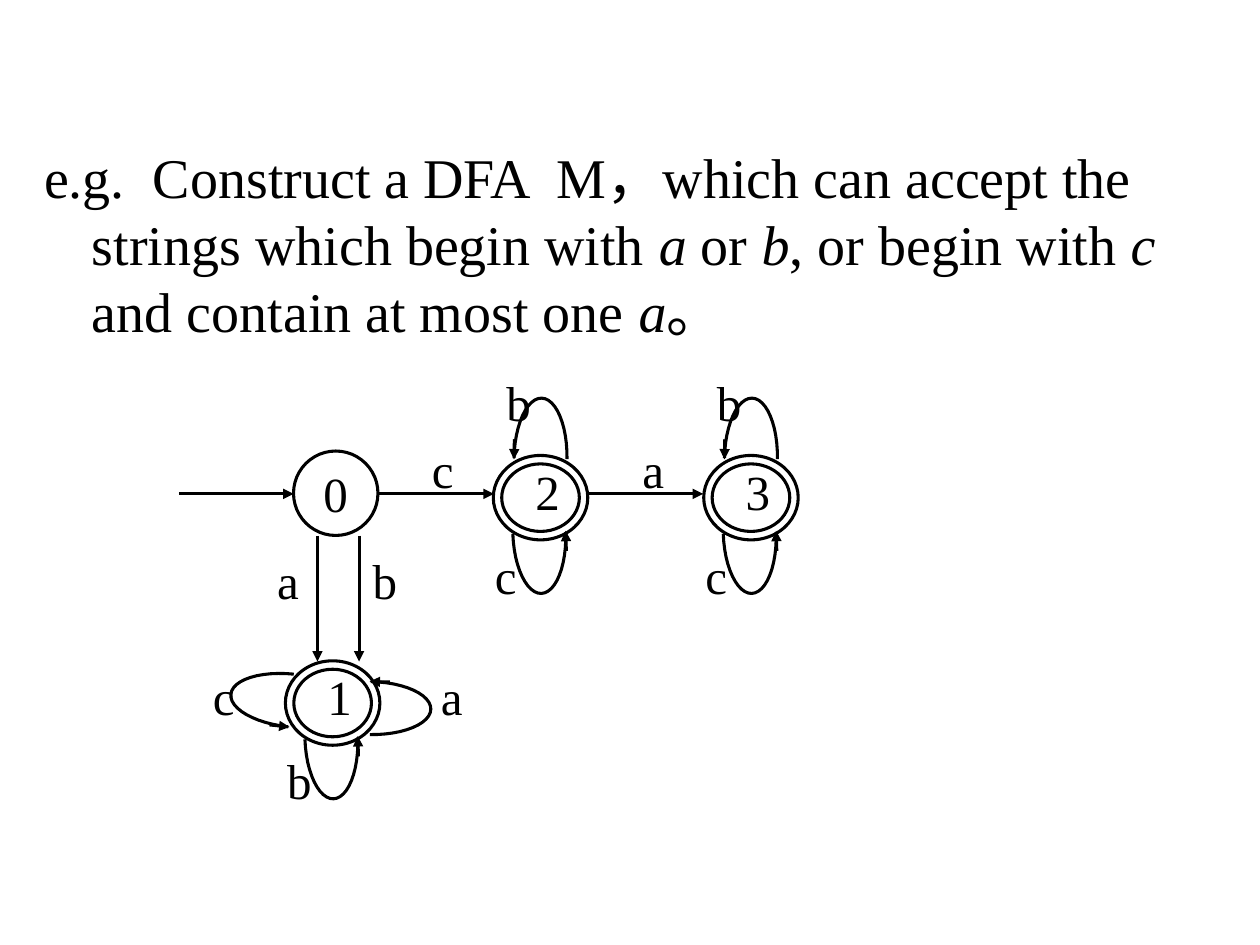
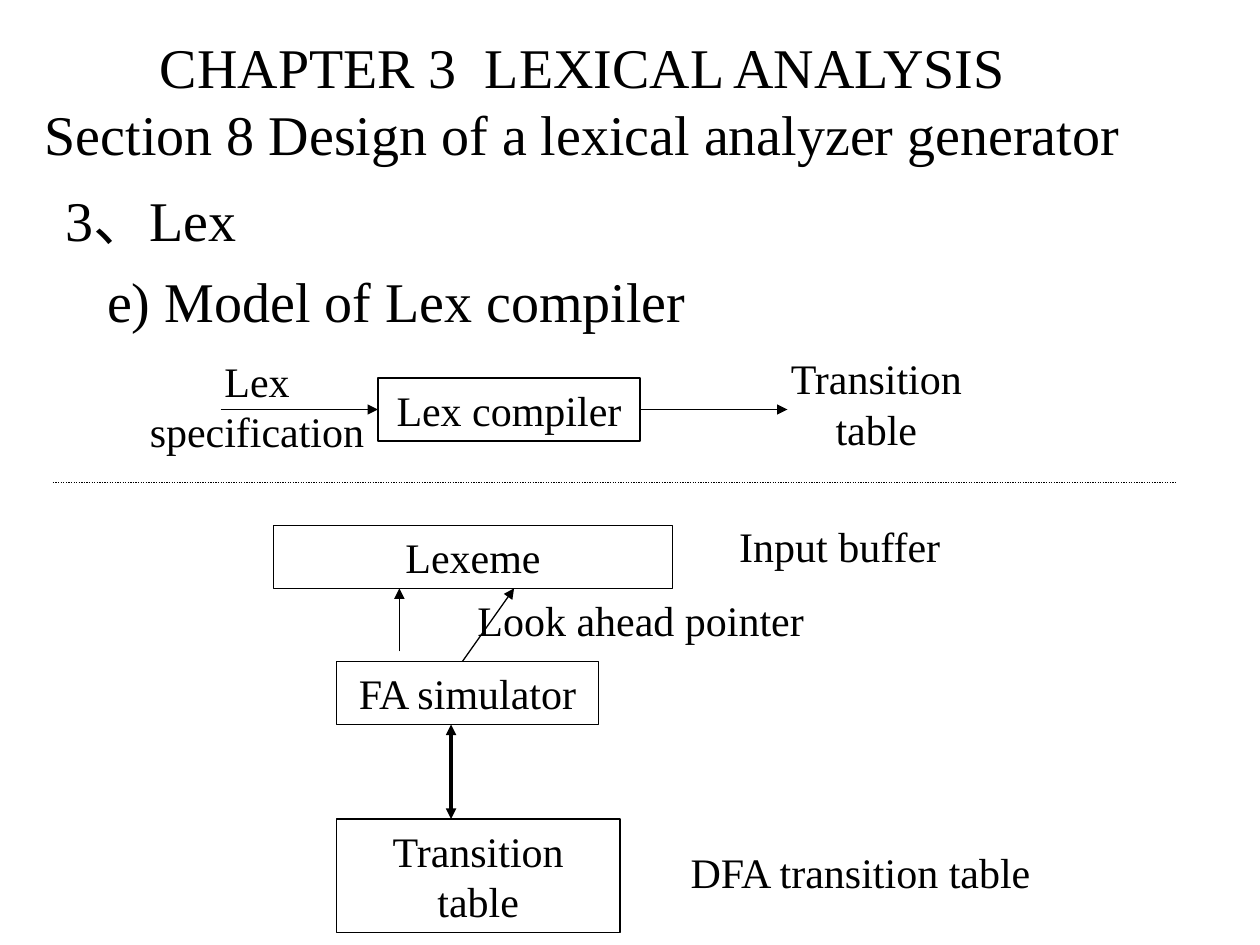
"""Builds two lexical-analysis slides: a DFA example and the Lex compiler model."""
from math import cos, radians, sin
from typing import NamedTuple

from lxml.etree import SubElement
from pptx import Presentation
from pptx.dml.color import RGBColor
from pptx.enum.dml import MSO_LINE
from pptx.enum.shapes import MSO_CONNECTOR, MSO_SHAPE as Preset
from pptx.enum.text import MSO_ANCHOR as Anchor, MSO_AUTO_SIZE as AutoSize, PP_ALIGN as Align
from pptx.oxml.ns import qn
from pptx.util import Inches, Pt

COLORS = {"ink": "000000"}
FONT = "Times New Roman"
HEADING_PT, DFA_PT, MODEL_PT = 32, 28, 24
DFA_LINE, MODEL_LINE, LINK_LINE = 1.75, 0.75, 2
STATE_W, STATE_H = 0.75, 0.67
LOOP_DEPTH, LOOP_HALF, LOOP_STEPS = 0.48, 0.21, 24
LABEL_W, LABEL_H = 0.39, 0.57
HANGING = 0.38


class Side(NamedTuple):
    angle: float
    mouth: tuple[float, float]
    label: tuple[float, float]


class State(NamedTuple):
    name: str
    x: float
    y: float
    loops: dict[str, str]


class Arrow(NamedTuple):
    start: tuple[float, float]
    end: tuple[float, float]
    weight: float
    ends: tuple[str, ...] = ("tailEnd",)


class Label(NamedTuple):
    text: str
    x: float
    y: float


class Block(NamedTuple):
    text: str
    x: float
    y: float
    width: float
    height: float = 0.5
    framed: bool = False


SIDES = {
    "top": Side(271, (0, -0.31), (-0.37, -1.04)),
    "bottom": Side(88, (-0.01, 0.28), (-0.46, 0.33)),
    "left": Side(186, (-0.33, -0.02), (-1.05, -0.34)),
    "right": Side(1, (0.3, 0.04), (0.76, -0.34)),
}
STATES = [
    State("1", 2.64, 5.58, {"bottom": "b", "right": "a", "left": "c"}),
    State("2", 4.29, 3.95, {"top": "b", "bottom": "c"}),
    State("3", 5.96, 3.95, {"top": "b", "bottom": "c"}),
]
TRANSITIONS = [
    Arrow((1.42, 3.92), (2.33, 3.92), DFA_LINE),
    Arrow((3, 3.92), (3.92, 3.92), DFA_LINE),
    Arrow((4.67, 3.92), (5.58, 3.92), DFA_LINE),
    Arrow((2.52, 4.25), (2.52, 5.25), DFA_LINE),
    Arrow((2.85, 4.25), (2.85, 5.25), DFA_LINE),
]
INPUTS = [Label("c", 3.33, 3.44), Label("a", 5, 3.44),
          Label("a", 2.1, 4.32), Label("b", 2.86, 4.32)]
BLOCKS = [
    Block("Lex specification", 1, 2.77, 2.08, 0.9),
    Block("Lex compiler", 3, 3, 2.08, framed=True),
    Block("Transition table", 6.08, 2.75, 1.75, 0.9),
    Block("Lexeme", 2.17, 4.17, 3.17, framed=True),
    Block("Input buffer", 5.58, 4.08, 2.17),
    Block("FA simulator", 2.67, 5.25, 2.08, framed=True),
    Block("Transition table", 2.67, 6.5, 2.25, 0.9, framed=True),
    Block("DFA transition table", 5.33, 6.67, 3),
    Block("Look ahead pointer", 3.42, 4.67, 3.33),
]
FLOWS = [
    Arrow((1.75, 3.25), (3, 3.25), MODEL_LINE),
    Arrow((5.08, 3.25), (6.25, 3.25), MODEL_LINE),
    Arrow((3.58, 5.75), (3.58, 6.5), LINK_LINE, ("headEnd", "tailEnd")),
    Arrow((3.17, 5.17), (3.17, 4.67), MODEL_LINE),
    Arrow((3.67, 5.25), (4.08, 4.67), MODEL_LINE),
]
DIVIDER = Arrow((0.42, 3.83), (9.33, 3.83), MODEL_LINE, ())


def ink() -> RGBColor:
    return RGBColor.from_string(COLORS["ink"])


def place(shape, x: float, y: float, width: float, height: float) -> None:
    shape.left, shape.top = Inches(x), Inches(y)
    shape.width, shape.height = Inches(width), Inches(height)


def style_text(frame, size: float, align: Align) -> None:
    for paragraph in frame.paragraphs:
        paragraph.alignment = align
        for run in paragraph.runs:
            run.font.name, run.font.size = FONT, Pt(size)
            run.font.color.rgb = ink()


def style_outline(shape, weight: float) -> None:
    shape.shadow.inherit = False
    shape.fill.background()
    shape.line.color.rgb = ink()
    shape.line.width = Pt(weight)


def style_list_item(paragraph, left: float, indent: float) -> None:
    paragraph.space_before = Pt(8)
    properties = paragraph._p.get_or_add_pPr()
    properties.set("marL", str(Inches(left)))
    properties.set("indent", str(Inches(indent)))
    SubElement(properties, qn("a:buNone"))


def draw_arrow(slide, arrow: Arrow):
    points = [Inches(value) for value in (*arrow.start, *arrow.end)]
    connector = slide.shapes.add_connector(MSO_CONNECTOR.STRAIGHT, *points)
    connector.line.color.rgb = ink()
    connector.line.width = Pt(arrow.weight)
    properties = connector.element.spPr
    for end in arrow.ends:
        SubElement(properties.find(qn("a:ln")), qn(f"a:{end}"), type="triangle")
    SubElement(properties, qn("a:effectLst"))
    return connector


def draw_label(slide, label: Label) -> None:
    box = slide.shapes.add_textbox(Inches(label.x), Inches(label.y), Inches(LABEL_W), Inches(LABEL_H))
    box.text_frame.text = label.text
    box.text_frame.word_wrap = False
    style_text(box.text_frame, DFA_PT, Align.LEFT)


def draw_loop(slide, state: State, side: Side, symbol: str) -> None:
    mouth_x, mouth_y = state.x + side.mouth[0], state.y + side.mouth[1]
    turn = radians(side.angle)

    def at(depth: float, across: float) -> tuple[float, float]:
        return (mouth_x + depth * cos(turn) - across * sin(turn),
                mouth_y + depth * sin(turn) + across * cos(turn))

    angles = [radians(90 - 180 * step / LOOP_STEPS) for step in range(LOOP_STEPS + 1)]
    curve = [at(LOOP_DEPTH * cos(angle), LOOP_HALF * sin(angle)) for angle in angles]
    start, *rest = [(Inches(x), Inches(y)) for x, y in curve]
    builder = slide.shapes.build_freeform(*start)
    builder.add_line_segments(rest, close=False)
    style_outline(builder.convert_to_shape(), DFA_LINE)
    draw_arrow(slide, Arrow(at(0.15, -LOOP_HALF), at(-0.01, -LOOP_HALF), DFA_LINE))
    draw_label(slide, Label(symbol, state.x + side.label[0], state.y + side.label[1]))


def draw_accepting_state(slide, state: State) -> None:
    ring = slide.shapes.add_shape(
        Preset.DONUT, Inches(state.x - STATE_W / 2), Inches(state.y - STATE_H / 2),
        Inches(STATE_W), Inches(STATE_H))
    ring.adjustments[0] = 0.1
    style_outline(ring, DFA_LINE)
    draw_label(slide, Label(state.name, state.x - 0.14, state.y - 0.34))
    for side, symbol in state.loops.items():
        draw_loop(slide, state, SIDES[side], symbol)


def draw_start_state(slide) -> None:
    start = slide.shapes.add_shape(Preset.OVAL, Inches(2.33), Inches(3.58), Inches(STATE_H), Inches(STATE_H))
    style_outline(start, DFA_LINE)
    start.text_frame.text = "0"
    start.text_frame.word_wrap = False
    start.text_frame.vertical_anchor = Anchor.MIDDLE
    style_text(start.text_frame, DFA_PT, Align.CENTER)


def draw_block(slide, block: Block) -> None:
    bounds = [Inches(value) for value in (block.x, block.y, block.width, block.height)]
    if block.framed:
        box = slide.shapes.add_shape(Preset.RECTANGLE, *bounds)
        style_outline(box, MODEL_LINE)
    else:
        box = slide.shapes.add_textbox(*bounds)
    box.text_frame.text = block.text
    box.text_frame.word_wrap = True
    box.text_frame.vertical_anchor = Anchor.TOP
    style_text(box.text_frame, MODEL_PT, Align.CENTER)


def build_dfa_slide(deck) -> None:
    slide = deck.slides.add_slide(deck.slide_layouts[1])
    unused_title = slide.shapes.title.element
    unused_title.getparent().remove(unused_title)
    task = slide.placeholders[1]
    place(task, 0.25, 1.08, 9.5, 1.83)
    task.text_frame.auto_size = AutoSize.NONE
    sentence = task.text_frame.paragraphs[0]
    wording = ("e.g.  Construct a DFA  M，which can accept the strings which begin with "
               "*a* or *b*, or begin with *c* and contain at most one *a*。")
    for index, part in enumerate(wording.split("*")):
        run = sentence.add_run()
        run.text = part
        run.font.italic = index % 2 == 1
    style_text(task.text_frame, HEADING_PT, Align.LEFT)
    style_list_item(sentence, HANGING, -HANGING)
    draw_start_state(slide)
    for transition in TRANSITIONS:
        draw_arrow(slide, transition)
    for symbol in INPUTS:
        draw_label(slide, symbol)
    for state in STATES:
        draw_accepting_state(slide, state)


def build_model_slide(deck) -> None:
    slide = deck.slides.add_slide(deck.slide_layouts[1])
    heading, outline = slide.shapes.title, slide.placeholders[1]
    place(heading, 0, 0, 9.25, 1.58)
    heading.text_frame.text = "CHAPTER 3  LEXICAL ANALYSIS\vSection 8 Design of a lexical analyzer generator"
    heading.text_frame.vertical_anchor = Anchor.MIDDLE
    place(outline, 0.42, 1.42, 9.33, 6.08)
    outline.text_frame.text = "3、Lex\ne) Model of Lex compiler"
    for frame, align in ((heading.text_frame, Align.CENTER), (outline.text_frame, Align.LEFT)):
        frame.auto_size = AutoSize.NONE
        style_text(frame, HEADING_PT, align)
    topic, subtopic = outline.text_frame.paragraphs
    style_list_item(topic, HANGING, -HANGING)
    style_list_item(subtopic, 0.33, 0)
    for block in BLOCKS:
        draw_block(slide, block)
    for flow in FLOWS:
        draw_arrow(slide, flow)
    draw_arrow(slide, DIVIDER).line.dash_style = MSO_LINE.ROUND_DOT


def main() -> None:
    deck = Presentation()
    deck.slide_width, deck.slide_height = Inches(10), Inches(7.5)
    build_dfa_slide(deck)
    build_model_slide(deck)
    deck.save("out.pptx")


if __name__ == "__main__":
    main()
